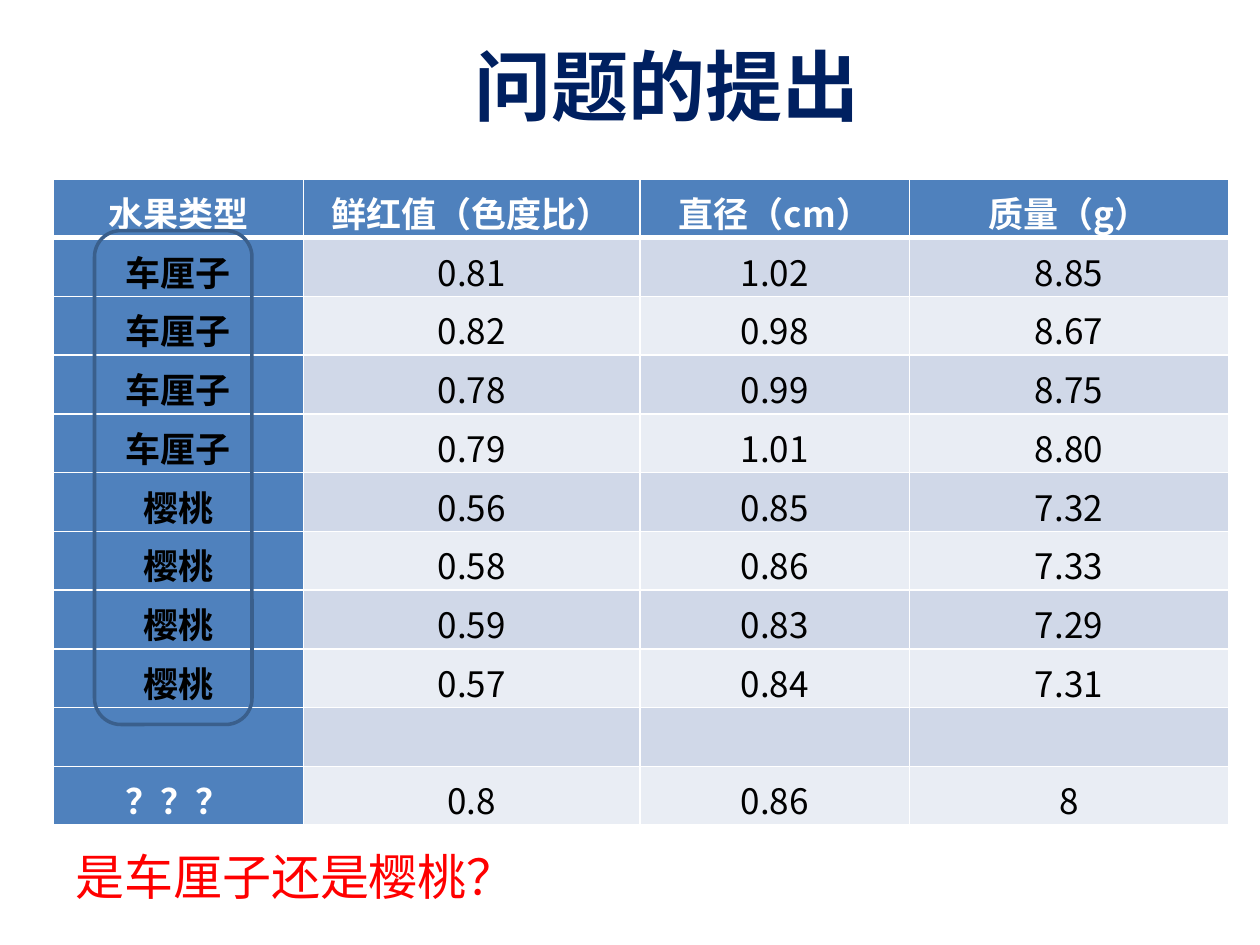
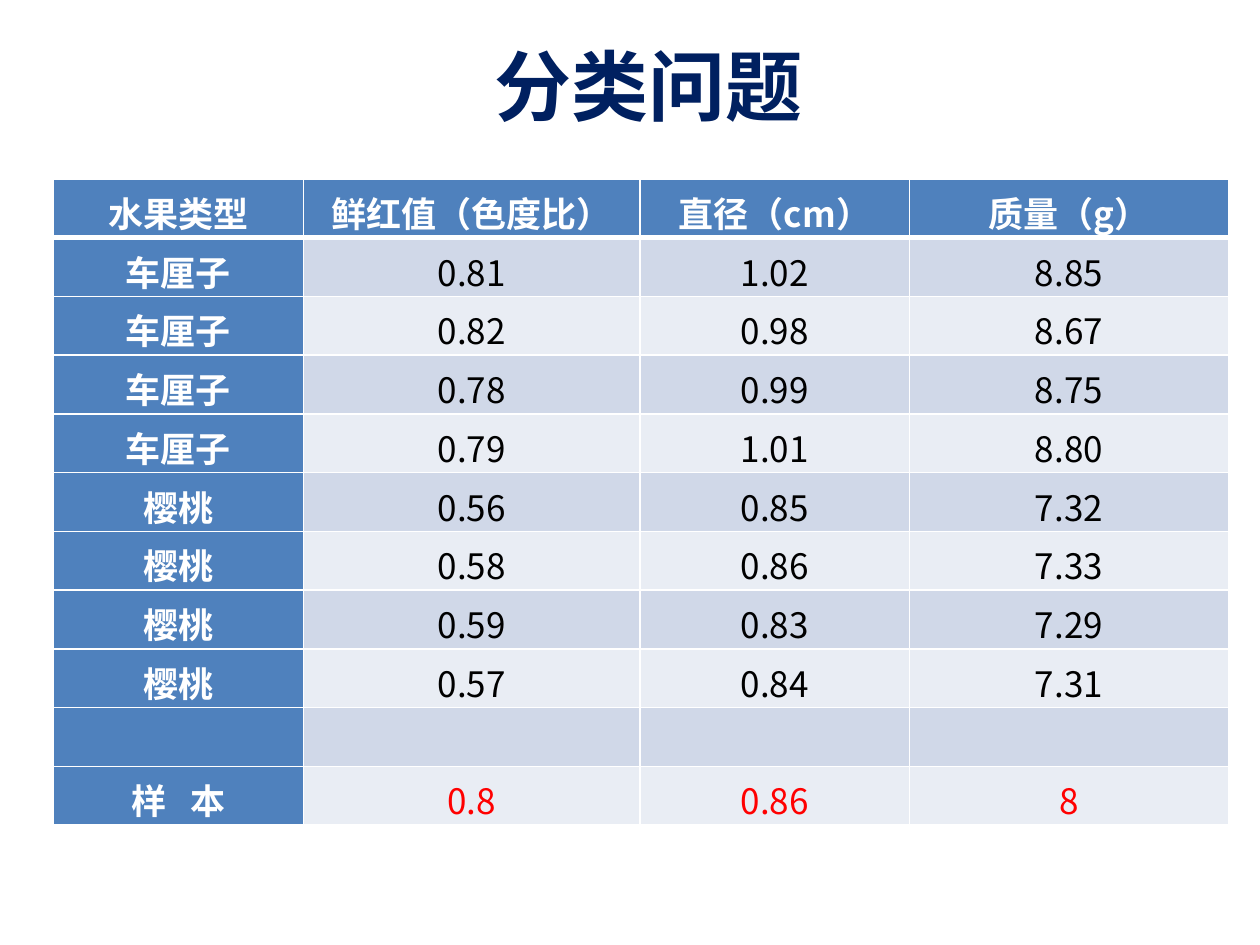
"""Two slides that ask how to classify cherries from measured fruit data."""
from lxml import etree
from pptx import Presentation, util as u
from pptx.dml.color import RGBColor
from pptx.enum import lang, shapes, text
from pptx.oxml import ns

COLORS = {"navy": "002060", "blue": "4F81BD", "band": "D0D8E8", "pale": "E9EDF4",
          "outline": "3A5F8C", "red": "FF0000", "white": "FFFFFF", "black": "000000"}
CJK = "Noto Sans CJK SC"
COL_WIDTHS = [1.99, 2.67, 2.14, 2.53]
ROW_COUNT = 11
TABLE_HEIGHT = 5.13
FRUIT_ROWS = [
    ["水果类型", "鲜红值（色度比）", "直径（cm）", "质量（g）"],
    ["车厘子", "0.81", "1.02", "8.85"],
    ["车厘子", "0.82", "0.98", "8.67"],
    ["车厘子", "0.78", "0.99", "8.75"],
    ["车厘子", "0.79", "1.01", "8.80"],
    ["樱桃", "0.56", "0.85", "7.32"],
    ["樱桃", "0.58", "0.86", "7.33"],
    ["樱桃", "0.59", "0.83", "7.29"],
    ["樱桃", "0.57", "0.84", "7.31"],
    ["", "", "", ""],
]
SAMPLE = ["0.8", "0.86", "8"]
SLIDES = [
    {"title": "问题的提出", "left": 3.67, "sample": "？？？", "fruit": "black", "values": "black"},
    {"title": "分类问题", "left": 3.83, "sample": "样 本", "fruit": "white", "values": "red"},
]


def format_runs(p, size, font, color, bold=False):
    for r in p.runs:
        r.font.size = u.Pt(size)
        r.font.name = font
        r.font.bold = bold
        r.font.color.rgb = RGBColor.from_string(COLORS[color])
        r.font.language_id = lang.MSO_LANGUAGE_ID.SIMPLIFIED_CHINESE
        ea = etree.SubElement(r._r.get_or_add_rPr(), ns.qn("a:ea"))
        ea.set("typeface", CJK)


def add_label(s, left, top, width, height, label, size, font, color, bold=False):
    sp = s.shapes.add_textbox(u.Inches(left), u.Inches(top), u.Inches(width), u.Inches(height))
    tf = sp.text_frame
    tf.word_wrap = True
    tf.vertical_anchor = text.MSO_ANCHOR.MIDDLE
    tf.text = label
    format_runs(tf.paragraphs[0], size, font, color, bold)


prs = Presentation()
prs.slide_width, prs.slide_height = u.Inches(10), u.Inches(7.5)

for info in SLIDES:
    s = prs.slides.add_slide(prs.slide_layouts[6])
    add_label(s, info["left"], 0.17, 5.67, 1, info["title"], 44, "Calibri", "navy", True)

    table = s.shapes.add_table(ROW_COUNT, len(COL_WIDTHS), u.Inches(0.42), u.Inches(1.42),
                               u.Inches(sum(COL_WIDTHS)), u.Inches(TABLE_HEIGHT)).table
    for column, width in zip(table.columns, COL_WIDTHS):
        column.width = u.Inches(width)

    for i, row in enumerate(FRUIT_ROWS + [[info["sample"]] + SAMPLE]):
        is_sample = i == ROW_COUNT - 1
        for j, value in enumerate(row):
            cell = table.cell(i, j)
            is_head = i == 0 or j == 0
            fill = "blue" if is_head else "band" if i % 2 else "pale"
            if i == 0 or (j == 0 and is_sample):
                color = "white"
            elif j == 0:
                color = info["fruit"]
            else:
                color = info["values"] if is_sample else "black"

            cell.fill.solid()
            cell.fill.fore_color.rgb = RGBColor.from_string(COLORS[fill])
            cell.margin_left = cell.margin_right = u.Inches(0.07)
            cell.margin_top = cell.margin_bottom = 0
            cell.vertical_anchor = text.MSO_ANCHOR.MIDDLE
            cell.text = value
            p = cell.text_frame.paragraphs[0]
            p.alignment = text.PP_ALIGN.CENTER
            p.line_spacing = 1.15
            format_runs(p, 20, CJK, color, is_head)
            if value == "样 本":
                p.runs[0]._r.get_or_add_rPr().set("spc", "450")

            tc_pr = cell._tc.get_or_add_tcPr()
            for k, side in enumerate("LRTB"):
                thick = (i, side) in [(0, "B"), (1, "T")]
                ln = etree.Element(ns.qn(f"a:ln{side}"), w=str(u.Pt(3 if thick else 1)))
                line_fill = etree.SubElement(ln, ns.qn("a:solidFill"))
                etree.SubElement(line_fill, ns.qn("a:srgbClr"), val=COLORS["white"])
                tc_pr.insert(k, ln)

s = prs.slides[0]
fruit_frame = s.shapes.add_shape(shapes.MSO_SHAPE.ROUNDED_RECTANGLE, u.Inches(0.75),
                                 u.Inches(1.83), u.Inches(1.25), u.Inches(3.92))
fruit_frame.shadow.inherit = False
fruit_frame.fill.background()
fruit_frame.line.color.rgb = RGBColor.from_string(COLORS["outline"])
fruit_frame.line.width = u.Pt(2)
add_label(s, 0.5, 6.67, 5.08, 0.57, "是车厘子还是樱桃？", 28, "Arial", "red")

prs.save("out.pptx")
